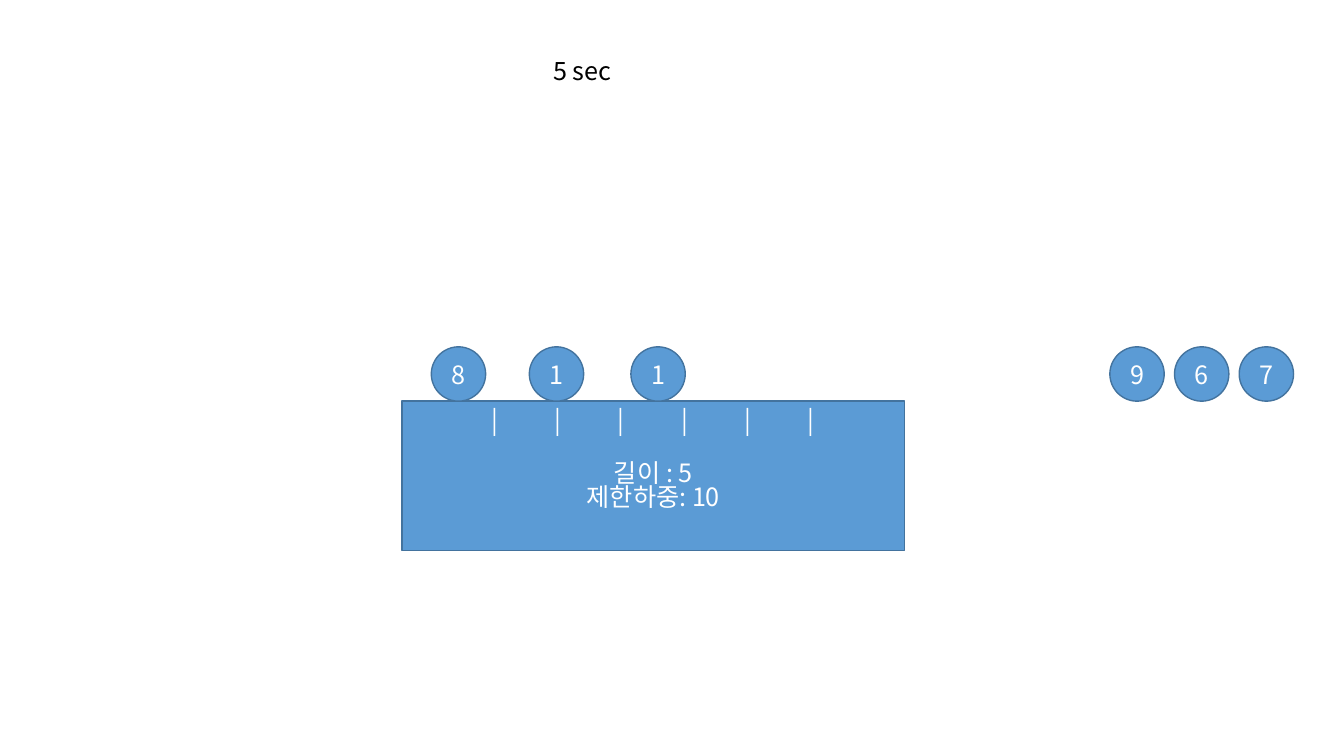
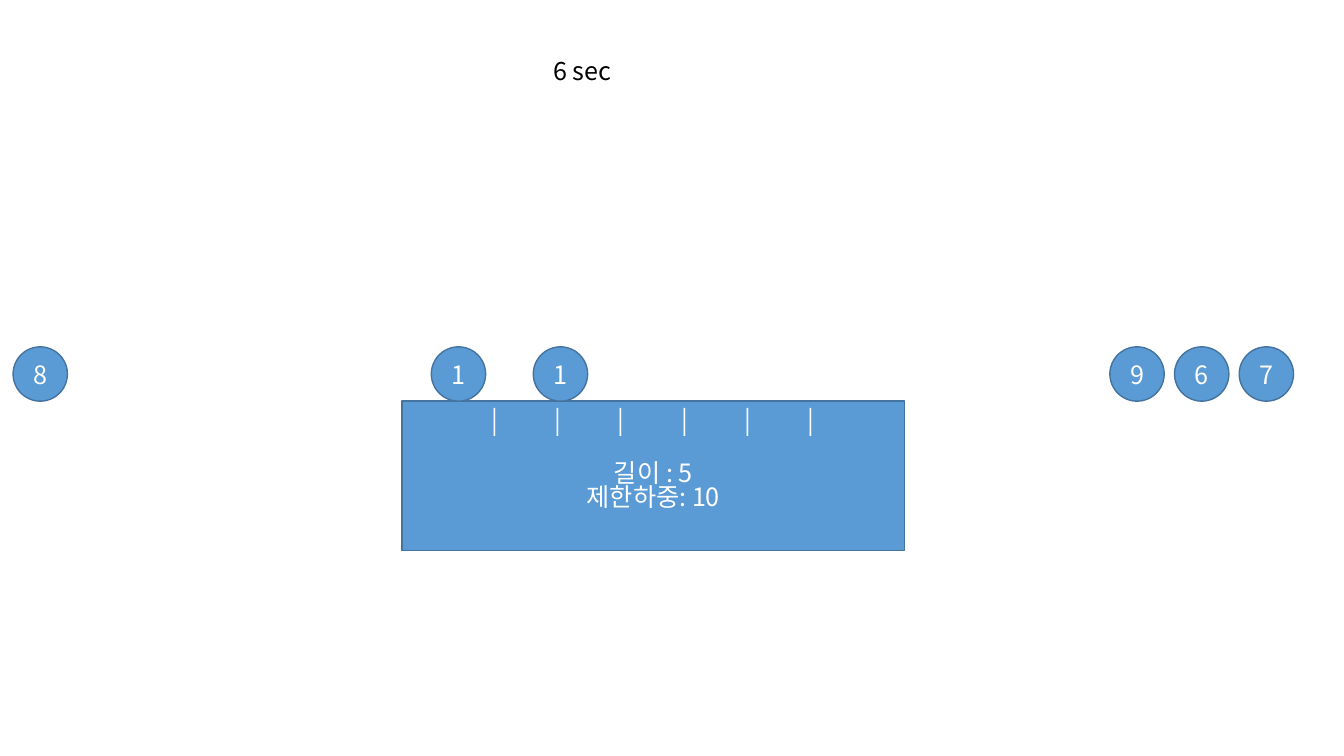
import pptx
import pptx.util
import pptx.dml.color
import pptx.enum.shapes
import pptx.enum.text
import pptx.oxml.ns
import lxml.etree

Cm, Pt = pptx.util.Cm, pptx.util.Pt
SHAPE = pptx.enum.shapes.MSO_SHAPE
ALIGN = pptx.enum.text.PP_ALIGN
ANCHOR = pptx.enum.text.MSO_ANCHOR
qn = pptx.oxml.ns.qn

FONT = "Noto Sans CJK KR"
BLUE, EDGE, WHITE, BLACK = "5B9BD5", "43739E", "FFFFFF", "000000"
BALL = 1.37
BEAM = (10.13, 10.11, 12.67, 3.76)
CLOCK = (13.69, 1.27, 2.01, 1.02)
QUEUE = (27.97, 1.63)
TICKS, FIRST, STEP = 6, 2.1, 1.59


def color(code):
    """Turn a hex string into a colour."""
    return pptx.dml.color.RGBColor.from_string(code)


def write(frame, text, ink=WHITE, size=18, align=ALIGN.CENTER, space=1.0, after=0):
    """Write one paragraph, using the empty first one if there is one."""
    para = frame.paragraphs[0]
    if para.runs:
        para = frame.add_paragraph()
    para.alignment, para.line_spacing = align, space
    para.space_after = Pt(after)
    run = para.add_run()
    run.text = text
    run.font.size = Pt(size)
    run.font.color.rgb = color(ink)
    run.font.name = FONT
    east = lxml.etree.SubElement(run.font._element, qn("a:ea"))
    east.set("typeface", FONT)
    return para


def block(slide, kind, box):
    """Add a blue shape and return its text frame."""
    shape = slide.shapes.add_shape(kind, *map(Cm, box))
    shape.shadow.inherit = False
    shape.fill.solid()
    shape.fill.fore_color.rgb = color(BLUE)
    shape.line.color.rgb = color(EDGE)
    shape.line.width = Pt(1)
    shape.text_frame.vertical_anchor = ANCHOR.MIDDLE
    return shape.text_frame


def clock(slide, box, time):
    """Show the elapsed time."""
    frame = slide.shapes.add_textbox(*map(Cm, box)).text_frame
    frame.word_wrap = False
    write(frame, f"{time} sec", ink=BLACK, align=ALIGN.LEFT)


def truck(slide, left, base, load):
    """Place a truck of the given weight so that it rests on the base."""
    write(block(slide, SHAPE.OVAL, (left, base - BALL, BALL, BALL)), str(load))


def bridge(slide, box):
    """Draw the bridge with its ticks and limits."""
    frame = block(slide, SHAPE.RECTANGLE, box)
    frame.margin_bottom = Cm(0.88)
    scale = write(frame, "\t|" * TICKS, align=ALIGN.LEFT, space=0.8, after=21)
    stops = lxml.etree.SubElement(scale._p.get_or_add_pPr(), qn("a:tabLst"))
    for i in range(TICKS):
        stop = lxml.etree.SubElement(stops, qn("a:tab"))
        stop.set("pos", str(Cm(FIRST + i * STEP)))
        stop.set("algn", "ctr")
    for text in ("길이 : 5", "제한하중: 10"):
        write(frame, text, space=0.8)


def scene(deck, time, moved, waiting=(9, 6, 7)):
    """Build one moment: the bridge, the moved trucks and the queue."""
    slide = deck.slides.add_slide(deck.slide_layouts[6])
    base = BEAM[1]
    clock(slide, CLOCK, time)
    bridge(slide, BEAM)
    for load, left in moved:
        truck(slide, left, base, load)
    start, pitch = QUEUE
    for i, load in enumerate(waiting):
        truck(slide, start + i * pitch, base, load)


deck = pptx.Presentation()
deck.slide_width, deck.slide_height = Cm(33.87), Cm(19.05)
scene(deck, 5, [(8, 10.87), (1, 13.34), (1, 15.9)])
scene(deck, 6, [(8, 0.33), (1, 10.87), (1, 13.44)])
deck.save("out.pptx")
